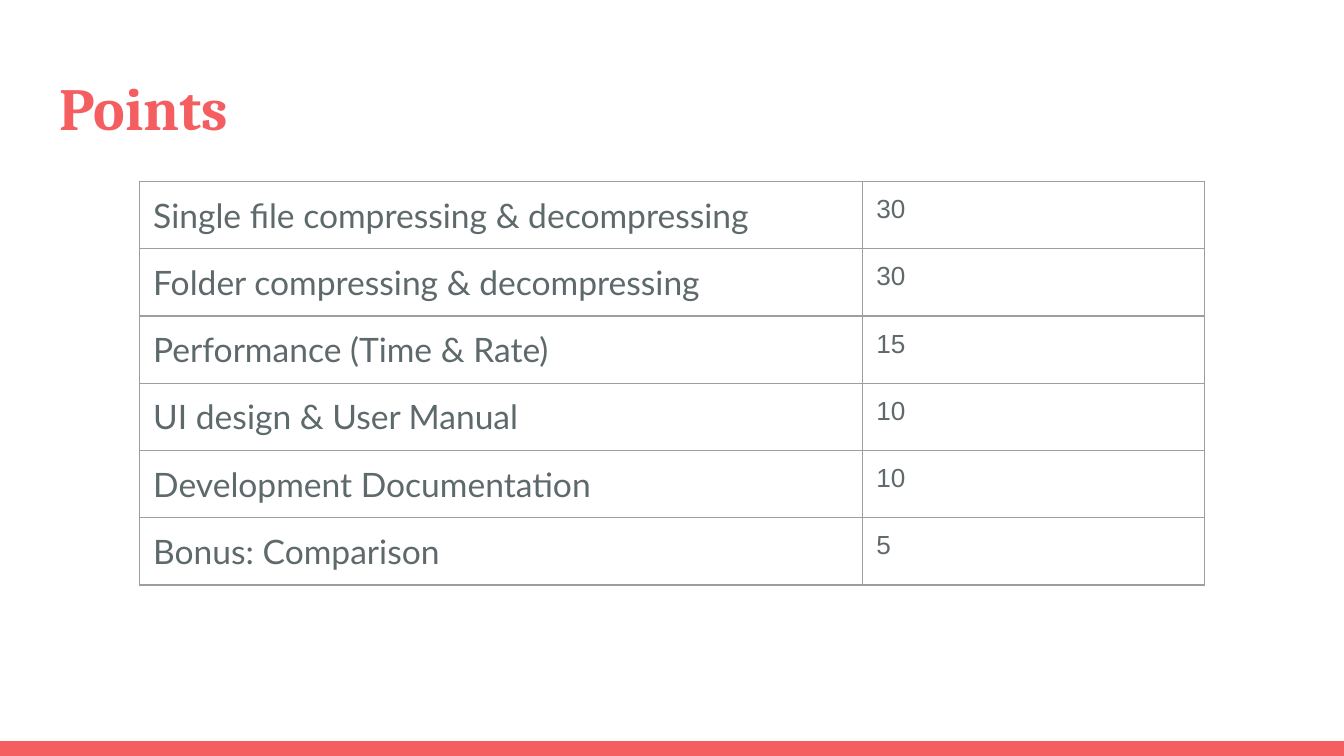
from lxml.etree import SubElement
from pptx import Presentation
from pptx.dml.color import RGBColor
from pptx.enum.shapes import MSO_SHAPE
from pptx.enum.text import MSO_ANCHOR, PP_ALIGN
from pptx.oxml.ns import qn
from pptx.util import Inches, Pt

# Content
TITLE = "Points"
POINTS = [
    ("Single file compressing & decompressing", "30"),
    ("Folder compressing & decompressing", "30"),
    ("Performance (Time & Rate)", "15"),
    ("UI design & User Manual", "10"),
    ("Development Documentation", "10"),
    ("Bonus: Comparison", "5"),
]
COLORS = {"accent": "F55E61", "text": "5E696C", "border": "9E9E9E"}
COLUMNS = [(5.38, "Lato", 18), (2.54, "Arial", 14)]  # width, font, size
ROW_HEIGHT = 0.5
MARGIN = Inches(0.1)


def style_font(font, name, size, color, bold=False):
    font.name, font.size, font.bold = name, Pt(size), bold
    font.color.rgb = RGBColor.from_string(COLORS[color])


def set_margins(area):
    area.margin_left = area.margin_right = MARGIN
    area.margin_top = area.margin_bottom = MARGIN


def add_borders(cell):
    properties = cell._tc.get_or_add_tcPr()
    for position, side in enumerate(("a:lnL", "a:lnR", "a:lnT", "a:lnB")):
        line = SubElement(properties, qn(side), w=str(Pt(0.75)))
        fill = SubElement(line, qn("a:solidFill"))
        SubElement(fill, qn("a:srgbClr"), val=COLORS["border"])
        properties.remove(line)
        properties.insert(position, line)  # borders come before the fill


deck = Presentation()
deck.slide_width, deck.slide_height = Inches(10), Inches(5.625)
page = deck.slides.add_slide(deck.slide_layouts[5])

# Bottom bar
bar_height = Inches(0.11)
bar = page.shapes.add_shape(MSO_SHAPE.RECTANGLE, 0, deck.slide_height - bar_height,
                            deck.slide_width, bar_height)
bar.shadow.inherit = False
bar.fill.solid()
bar.fill.fore_color.rgb = RGBColor.from_string(COLORS["accent"])
bar.line.fill.background()

# Title
title = page.shapes.title
title.left, title.top = Inches(0.34), Inches(0.43)
title.width, title.height = Inches(9.32), Inches(0.68)
frame = title.text_frame
frame.text = TITLE
frame.vertical_anchor = MSO_ANCHOR.TOP
set_margins(frame)
paragraph = frame.paragraphs[0]
paragraph.alignment = PP_ALIGN.LEFT
style_font(paragraph.font, "Cambria", 32, "accent", bold=True)

# Points table
table_width = sum(width for width, _, _ in COLUMNS)
table = page.shapes.add_table(
    len(POINTS), len(COLUMNS), Inches(1.04), Inches(1.35),
    Inches(table_width), Inches(ROW_HEIGHT * len(POINTS))).table
table.first_row = table.horz_banding = False
for column, (width, _, _) in zip(table.columns, COLUMNS):
    column.width = Inches(width)
for row, texts in zip(table.rows, POINTS):
    row.height = Inches(ROW_HEIGHT)
    for cell, text, (_, font_name, size) in zip(row.cells, texts, COLUMNS):
        cell.text = text
        set_margins(cell)
        cell.fill.background()
        add_borders(cell)
        style_font(cell.text_frame.paragraphs[0].font, font_name, size, "text")

deck.save("out.pptx")
